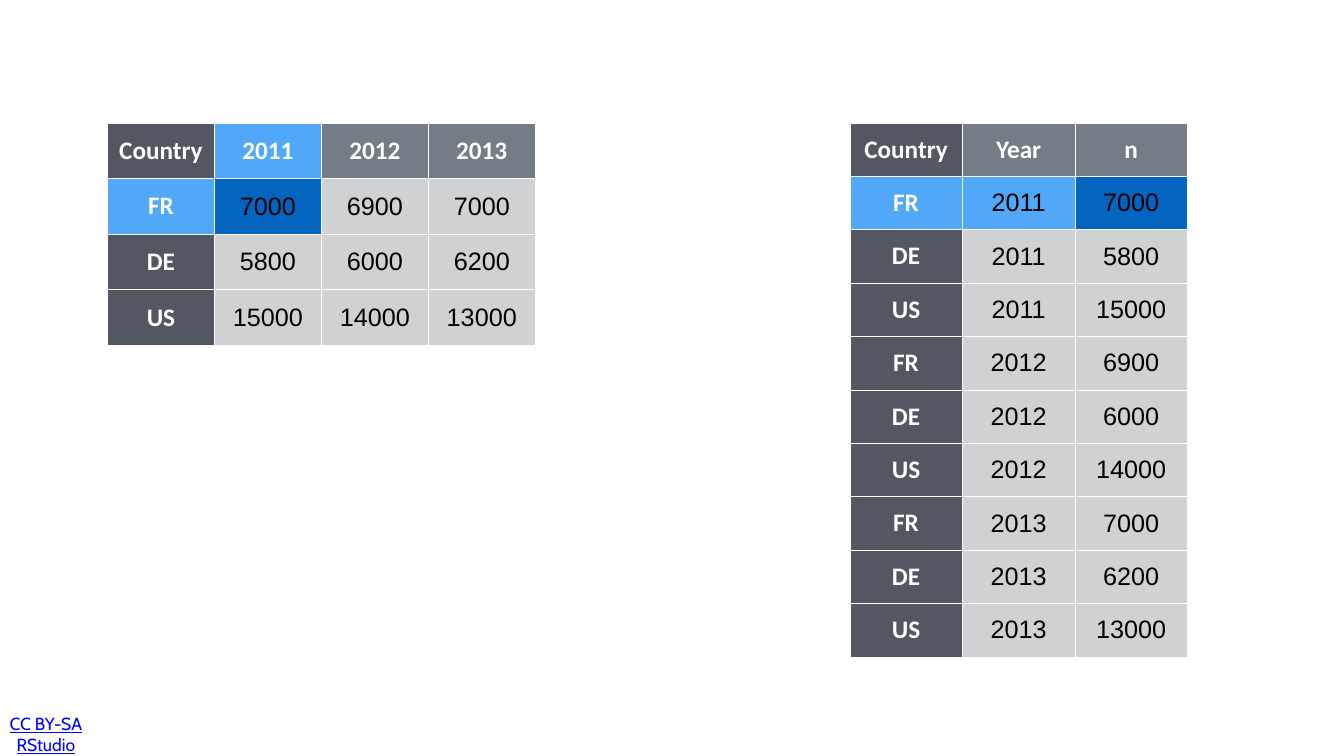
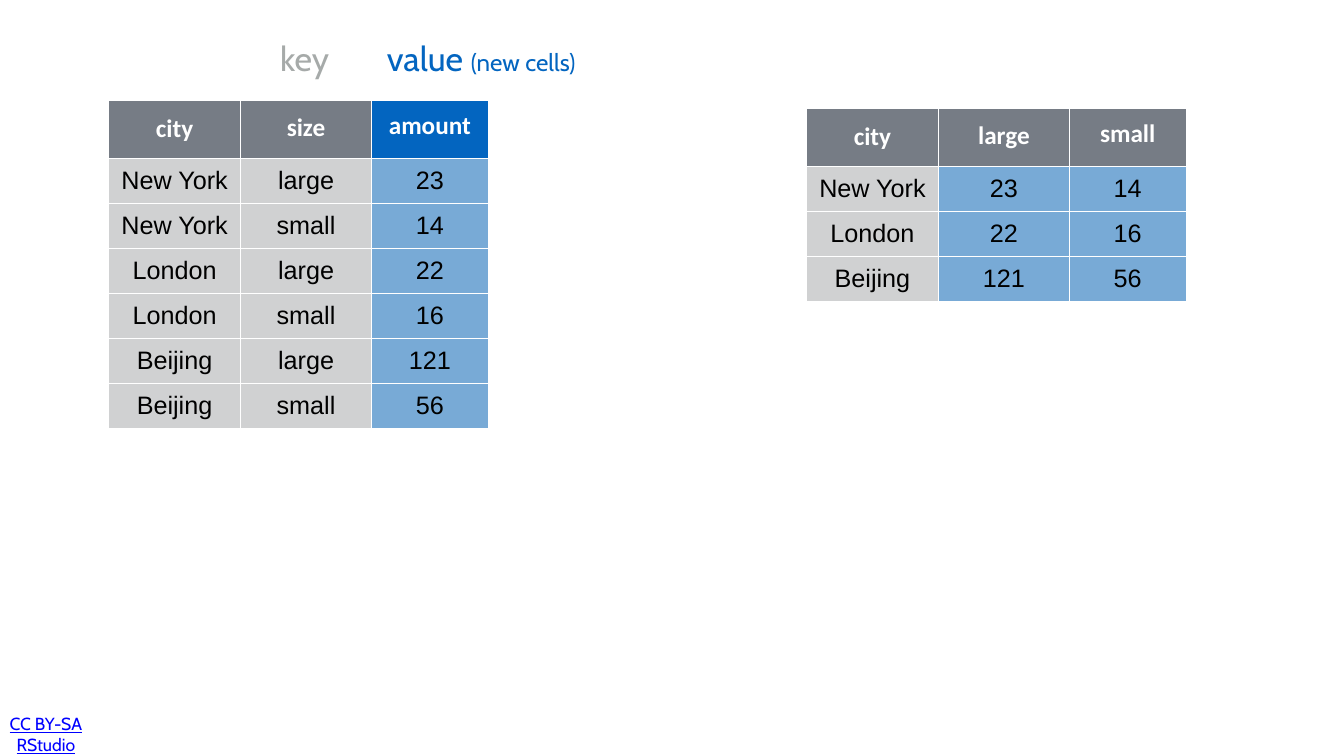
import dataclasses

import pptx
import pptx.dml.color
import pptx.enum.text
import pptx.oxml
import pptx.oxml.ns
import pptx.util

Pt = pptx.util.Pt
RGB = pptx.dml.color.RGBColor.from_string
CENTER = pptx.enum.text.PP_ALIGN.CENTER
LEFT = pptx.enum.text.PP_ALIGN.LEFT
MIDDLE = pptx.enum.text.MSO_ANCHOR.MIDDLE


@dataclasses.dataclass(frozen=True)
class Theme:
    # Colours
    white: str = "FFFFFF"
    black: str = "000000"
    header: str = "767C85"
    row_label: str = "535761"
    body: str = "D0D1D2"
    highlight: str = "51A8F9"
    accent: str = "0365C0"
    value: str = "78AAD6"
    key: str = "A6AAA9"
    link: str = "0000FF"
    # Fonts, type sizes and spacing
    heading_font: str = "Calibri"
    body_font: str = "Arial"
    label_font: str = "Cabin"
    cell_size: float = 36
    label_size: float = 48.7
    note_size: float = 34.4
    footer_size: float = 25
    cell_inset: float = 4.3
    text_inset: float = 5.75
    border: float = 1


class Deck:
    """Holds the style, the presentation and the current slide."""

    def __init__(self, theme):
        self.theme = theme
        self.presentation = pptx.Presentation()
        self.presentation.slide_width = Pt(1920)
        self.presentation.slide_height = Pt(1080)
        self.slide = None

    def add_slide(self):
        layout = self.presentation.slide_layouts[6]
        self.slide = self.presentation.slides.add_slide(layout)
        self.footer()

    def set_format(self, target, values):
        for name, value in values.items():
            setattr(target, name, value)

    def add_run(self, paragraph, text, color, **font_values):
        run = paragraph.add_run()
        run.text = text
        self.set_format(run.font, font_values)
        run.font.color.rgb = RGB(color)

    def text(self, left, top, width, height, runs, font_values,
             alignment=LEFT, side_insets=None):
        """Add a text box; runs is a list of (text, size, colour)."""
        shape = self.slide.shapes.add_textbox(
            Pt(left), Pt(top), Pt(width), Pt(height))
        inset = self.theme.text_inset
        left_inset, right_inset = side_insets or (inset, inset)
        self.set_format(shape.text_frame, {
            "word_wrap": True, "vertical_anchor": MIDDLE,
            "margin_left": Pt(left_inset), "margin_right": Pt(right_inset),
            "margin_top": Pt(inset), "margin_bottom": Pt(inset)})
        paragraph = shape.text_frame.paragraphs[0]
        paragraph.alignment = alignment
        for content, size, color in runs:
            self.add_run(paragraph, content, color, size=Pt(size),
                         **font_values)

    def footer(self):
        theme = self.theme
        self.text(8.6, 1026.7, 191.5, 43.2,
                  [("CC BY-SA RStudio", theme.footer_size, theme.link)],
                  {"name": theme.label_font, "underline": True},
                  CENTER, side_insets=(3, 80.5))

    def label(self, left, runs):
        self.text(left, 46.8, 510, 72, runs, {"name": self.theme.label_font})

    def table(self, left, top, widths, header_height, row_height, rows,
              fills, row_labels=False, header_spacing=()):
        """Add a table; fills maps (row, column) to a special fill."""
        theme = self.theme
        heights = [header_height] + [row_height] * (len(rows) - 1)
        table = self.slide.shapes.add_table(
            len(rows), len(widths), Pt(left), Pt(top),
            Pt(sum(widths)), Pt(sum(heights))).table
        self.set_format(table, {"horz_banding": False,
                                "first_col": row_labels})
        for column, width in zip(table.columns, widths):
            column.width = Pt(width)
        for row, height in zip(table.rows, heights):
            row.height = Pt(height)
        for row_index, values in enumerate(rows):
            for column_index, value in enumerate(values):
                is_label = row_labels and column_index == 0
                default = (theme.row_label if is_label else
                           theme.header if row_index == 0 else theme.body)
                fill = fills.get((row_index, column_index), default)
                cell = table.cell(row_index, column_index)
                self.cell(cell, value, fill, is_label or row_index == 0)
        for column_index, spacing in enumerate(header_spacing):
            paragraph = table.cell(0, column_index).text_frame.paragraphs[0]
            paragraph.line_spacing = spacing

    def cell(self, cell, value, fill, is_heading):
        theme = self.theme
        inset = Pt(theme.cell_inset)
        self.set_format(cell, {
            "vertical_anchor": MIDDLE, "margin_left": inset,
            "margin_right": inset, "margin_top": inset,
            "margin_bottom": inset})
        self.borders(cell)
        cell.fill.solid()
        cell.fill.fore_color.rgb = RGB(fill)
        paragraph = cell.text_frame.paragraphs[0]
        paragraph.alignment = CENTER
        self.add_run(
            paragraph, str(value),
            theme.white if is_heading else theme.black,
            name=theme.heading_font if is_heading else theme.body_font,
            size=Pt(theme.cell_size), bold=is_heading)

    def borders(self, cell):
        properties = cell._tc.get_or_add_tcPr()
        namespace = pptx.oxml.ns.nsdecls("a")
        for side in "LRTB":
            properties.append(pptx.oxml.parse_xml(
                f'<a:ln{side} {namespace} w="{Pt(self.theme.border)}">'
                f'<a:solidFill><a:srgbClr val="{self.theme.white}"/>'
                f'</a:solidFill></a:ln{side}>'))


def cases_slide(deck):
    theme = deck.theme
    deck.add_slide()
    years = [2011, 2012, 2013]
    cases = [["FR", 7000, 6900, 7000],
             ["DE", 5800, 6000, 6200],
             ["US", 15000, 14000, 13000]]

    # Wide table: one column per year
    deck.table(153.5, 175.5, [152.8] * 4, 79.5, 79.5,
               [["Country"] + years] + cases,
               {(0, 1): theme.highlight, (1, 0): theme.highlight,
                (1, 1): theme.accent}, row_labels=True)

    # Long table: one row per country and year
    long_rows = [[case[0], year, case[position]]
                 for position, year in enumerate(years, start=1)
                 for case in cases]
    deck.table(1214, 175.5, [160.8] * 3, 76.3, 76.3,
               [["Country", "Year", "n"]] + long_rows,
               {(1, 0): theme.highlight, (1, 1): theme.highlight,
                (1, 2): theme.accent}, row_labels=True)


def pollution_slide(deck):
    theme = deck.theme
    deck.add_slide()
    widths = [188.8, 186.8, 167]
    spacing = [1, 0.8, 0.6]
    sizes = ["large", "small"]
    amounts = [["New York", 23, 14], ["London", 22, 16], ["Beijing", 121, 56]]

    # Long table: one row per city and size
    long_rows = [[city, size, amount] for city, *pair in amounts
                 for size, amount in zip(sizes, pair)]
    fills = {(row, 2): theme.value for row in range(1, len(long_rows) + 1)}
    fills[0, 2] = theme.accent
    deck.table(155, 142.8, widths, 83.5, 64.3,
               [["city", "size", "amount"]] + long_rows, fills,
               header_spacing=spacing)

    # Wide table: one column per size
    deck.table(1152, 154, widths, 84, 64.3, [["city"] + sizes] + amounts,
               {(row, column): theme.value
                for row in range(1, len(amounts) + 1) for column in (1, 2)},
               header_spacing=spacing)

    # Labels above the long table
    deck.label(394.5, [("key", theme.label_size, theme.key)])
    deck.label(547, [("value ", theme.label_size, theme.accent),
                     ("(new cells)", theme.note_size, theme.accent)])


def main():
    deck = Deck(Theme())
    cases_slide(deck)
    pollution_slide(deck)
    deck.presentation.save("out.pptx")


if __name__ == "__main__":
    main()
